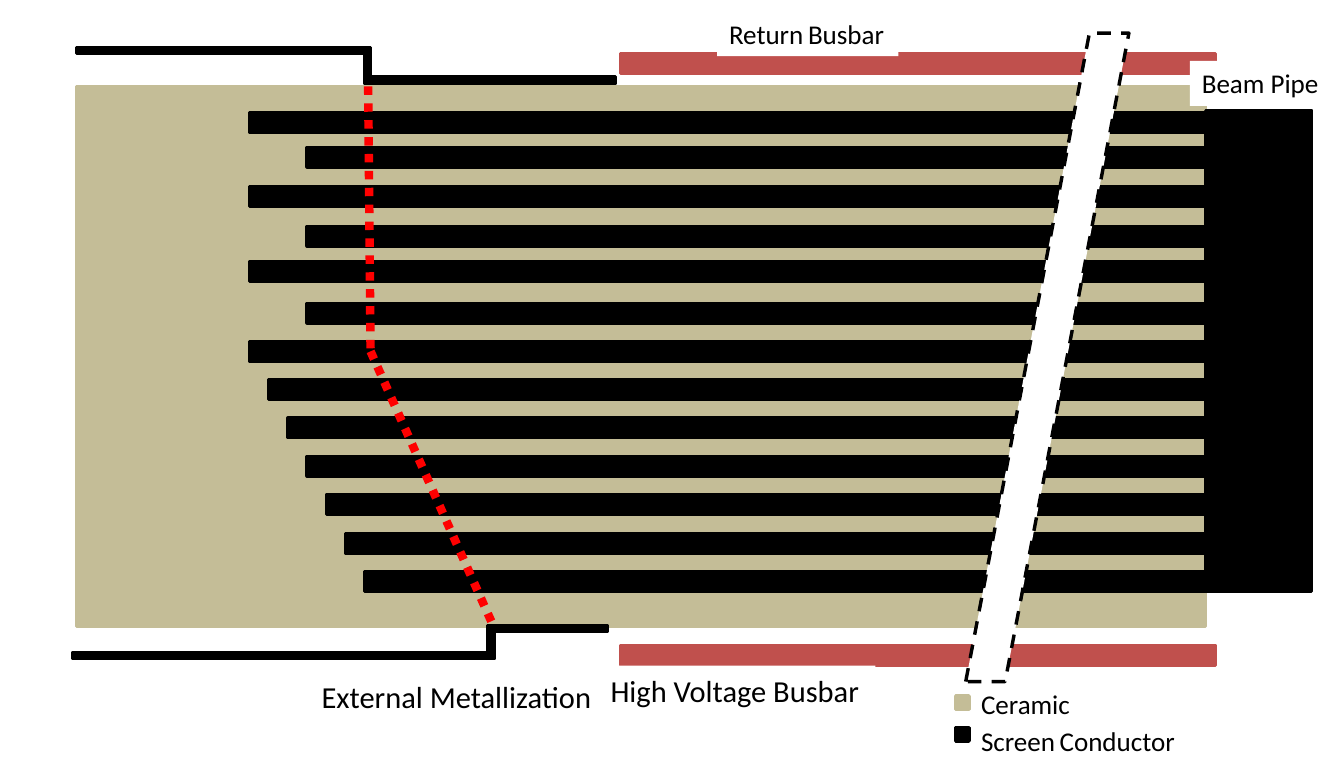
"""Builds the slide showing screen conductors on a ceramic tube."""
from collections import namedtuple

from lxml import etree
from pptx import Presentation
from pptx.dml.color import RGBColor
from pptx.enum.dml import MSO_LINE
from pptx.enum.shapes import MSO_CONNECTOR, MSO_SHAPE
from pptx.enum.text import MSO_ANCHOR, MSO_AUTO_SIZE, PP_ALIGN
from pptx.oxml.ns import qn
from pptx.util import Cm, Pt

RECTANGLE = MSO_SHAPE.RECTANGLE
PARALLELOGRAM = MSO_SHAPE.PARALLELOGRAM
STRAIGHT = MSO_CONNECTOR.STRAIGHT
DASH = MSO_LINE.DASH
DOT = MSO_LINE.ROUND_DOT
TOP = MSO_ANCHOR.TOP
LEFT = PP_ALIGN.LEFT
FIT = MSO_AUTO_SIZE.SHAPE_TO_FIT_TEXT

COLORS = {
    "ceramic": "C4BD97",
    "conductor": "000000",
    "busbar": "C0504D",
    "cut": "FF0000",
    "paper": "FFFFFF",
    "text": "000000",
}
FONT = "Calibri"
Box = namedtuple("Box", "left top width height")


def color(name):
    """Return the named colour."""
    return RGBColor.from_string(COLORS[name])


def add_block(slide, box, fill, line=None, preset=RECTANGLE):
    """Add a filled shape, outlined when a line colour is given."""
    block = slide.shapes.add_shape(preset, *(Cm(length) for length in box))
    block.shadow.inherit = False
    block.fill.solid()
    block.fill.fore_color.rgb = color(fill)
    if line:
        block.line.color.rgb = color(line)
        block.line.width = Pt(2)
    else:
        block.line.fill.background()
    return block


def add_label(slide, box, pieces, filled=False):
    """Add a one-line label made of (text, size) pieces."""
    if filled:
        label = add_block(slide, box, "paper")
    else:
        label = slide.shapes.add_textbox(*(Cm(length) for length in box))
    frame = label.text_frame
    frame.word_wrap = False
    frame.auto_size = FIT
    frame.vertical_anchor = TOP
    line = frame.paragraphs[0]
    line.alignment = LEFT
    for text, size in pieces:
        run = line.add_run()
        run.text = text
        run.font.name = FONT
        run.font.size = Pt(size)
        run.font.color.rgb = color("text")


def draw_screen(slide, box):
    """Draw the ceramic, its comb of conductors and the beam pipe."""
    add_block(slide, box, "ceramic", "ceramic")
    long_start, short_start, thickness = 3.6, 4.8, 0.41
    upper_tops = [0.54, 1.27, 2.09, 2.92, 3.66, 4.52]
    conductors = [(short_start if i % 2 else long_start, top)
                  for i, top in enumerate(upper_tops)]
    conductors += [(long_start + 0.4 * i, 5.31 + 0.8 * i) for i in range(7)]
    for start, top in conductors:
        add_block(slide, Box(box.left + start, box.top + top,
                             box.width - start, thickness),
                  "conductor", "conductor")
    add_block(slide, Box(box.left + box.width, box.top + 0.51, 2.21, 10.01),
              "conductor", "conductor")


def draw_busbars(slide, box):
    """Draw the busbars along the top and bottom of the box."""
    thickness = 0.41
    for top in (box.top, box.top + box.height - thickness):
        add_block(slide, Box(box.left, top, box.width, thickness),
                  "busbar", "busbar")


def draw_legend(slide, box):
    """Draw the material key with one swatch per entry."""
    side = 0.28
    entries = [
        ("ceramic", [("Ceramic", 16)], 2.39),
        ("conductor", [("Screen", 16), (" ", 12), ("Conductor", 16)], 4.6),
    ]
    for row, (material, pieces, width) in enumerate(entries):
        add_block(slide, Box(box.left, box.top + 0.3 + 0.66 * row, side, side),
                  material, material)
        add_label(slide, Box(box.left + side, box.top + 0.76 * row,
                             width, 0.94), pieces)


def draw_metallization(slide, box, step, left_is_high):
    """Draw a stepped strip whose riser ends at the given offset."""
    thickness = 0.13
    high, low = box.top, box.top + box.height - thickness
    left_top, right_top = (high, low) if left_is_high else (low, high)
    parts = [
        Box(box.left, left_top, step, thickness),
        Box(box.left + step, right_top, box.width - step, thickness),
        Box(box.left + step - thickness, high, thickness, box.height),
    ]
    for part in parts:
        add_block(slide, part, "conductor", "conductor")


def draw_break(slide, box):
    """Draw the slanted dashed gap across the tube."""
    gap = add_block(slide, box, "paper", "conductor", PARALLELOGRAM)
    gap.adjustments[0] = 0.758
    gap.line.dash_style = DASH


def draw_cut(slide, box):
    """Draw the dotted edge of the metallization down the box."""
    bend = (box.left + 0.05, box.top + 5.52)
    points = [(box.left, box.top), bend,
              (box.left + box.width, box.top + box.height)]
    for start, end in zip(points, points[1:]):
        edge = slide.shapes.add_connector(
            STRAIGHT, *(Cm(length) for length in start + end))
        edge.line.color.rgb = color("cut")
        edge.line.width = Pt(5)
        edge.line.dash_style = DOT
        etree.SubElement(edge._element.spPr, qn("a:effectLst"))


def main():
    """Build and save the slide."""
    deck = Presentation()
    deck.slide_width, deck.slide_height = Cm(28), Cm(16)
    slide = deck.slides.add_slide(deck.slide_layouts[6])

    draw_screen(slide, Box(1.6, 1.8, 23.52, 11.25))
    draw_busbars(slide, Box(12.93, 1.12, 12.4, 12.75))
    add_label(slide, Box(14.94, 0.23, 3.78, 0.94),
              [("Return", 16), (" ", 12), ("Busbar", 16)], filled=True)
    add_label(slide, Box(12.47, 13.87, 5.77, 1.02),
              [("High Voltage Busbar", 18)], filled=True)
    add_label(slide, Box(24.79, 1.27, 2.97, 0.94),
              [("Beam Pipe", 16)], filled=True)
    add_label(slide, Box(6.45, 14, 6.2, 1.02),
              [("External Metallization", 18)])
    draw_legend(slide, Box(19.91, 14.2, 4.88, 1.7))
    draw_break(slide, Box(20.12, 0.69, 3.4, 13.51))
    draw_metallization(slide, Box(1.6, 0.99, 11.23, 0.74), 6.12, True)
    draw_metallization(slide, Box(1.52, 13.03, 11.13, 0.69), 8.77, False)
    draw_cut(slide, Box(7.67, 1.8, 2.59, 11.2))

    deck.save("out.pptx")


if __name__ == "__main__":
    main()
